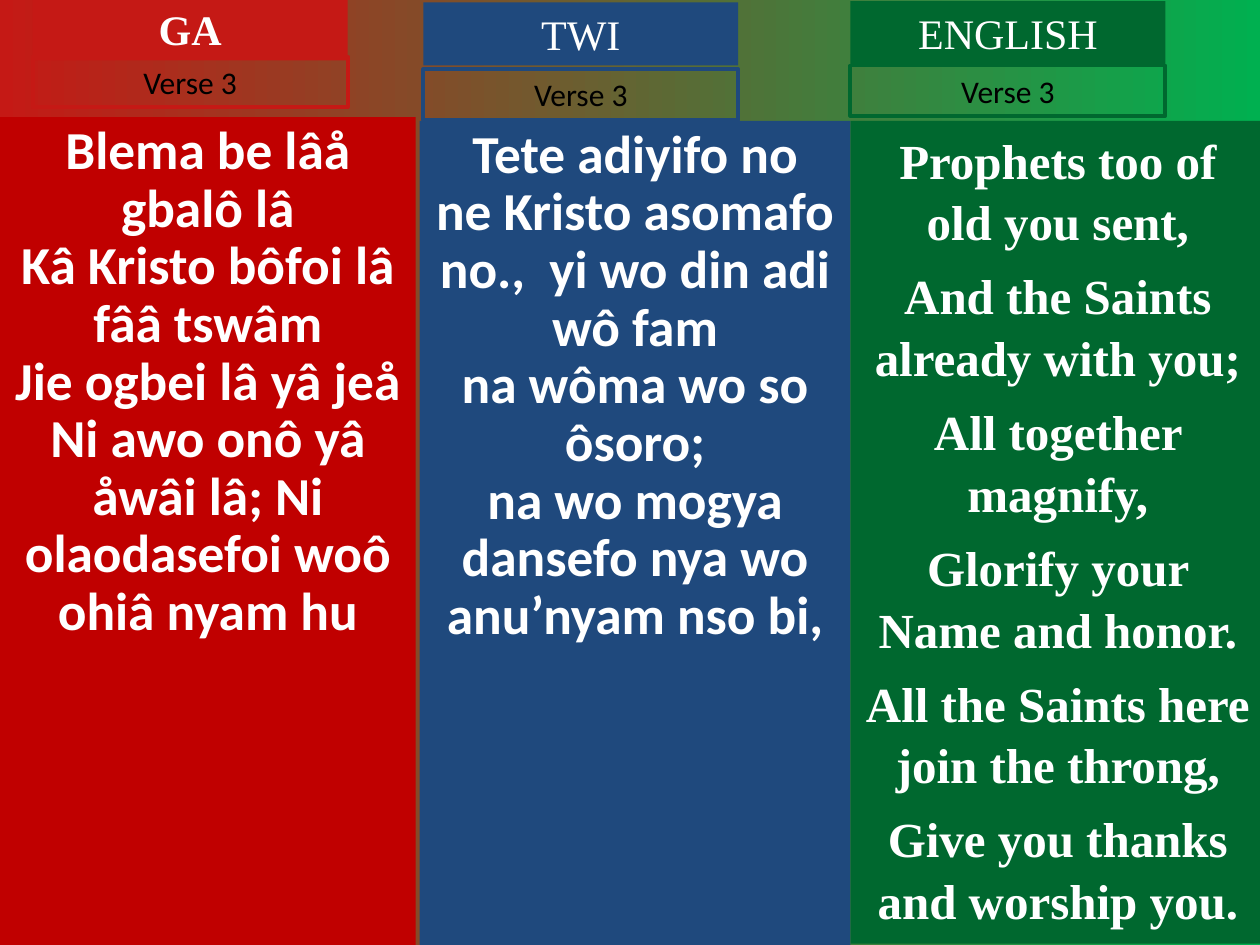
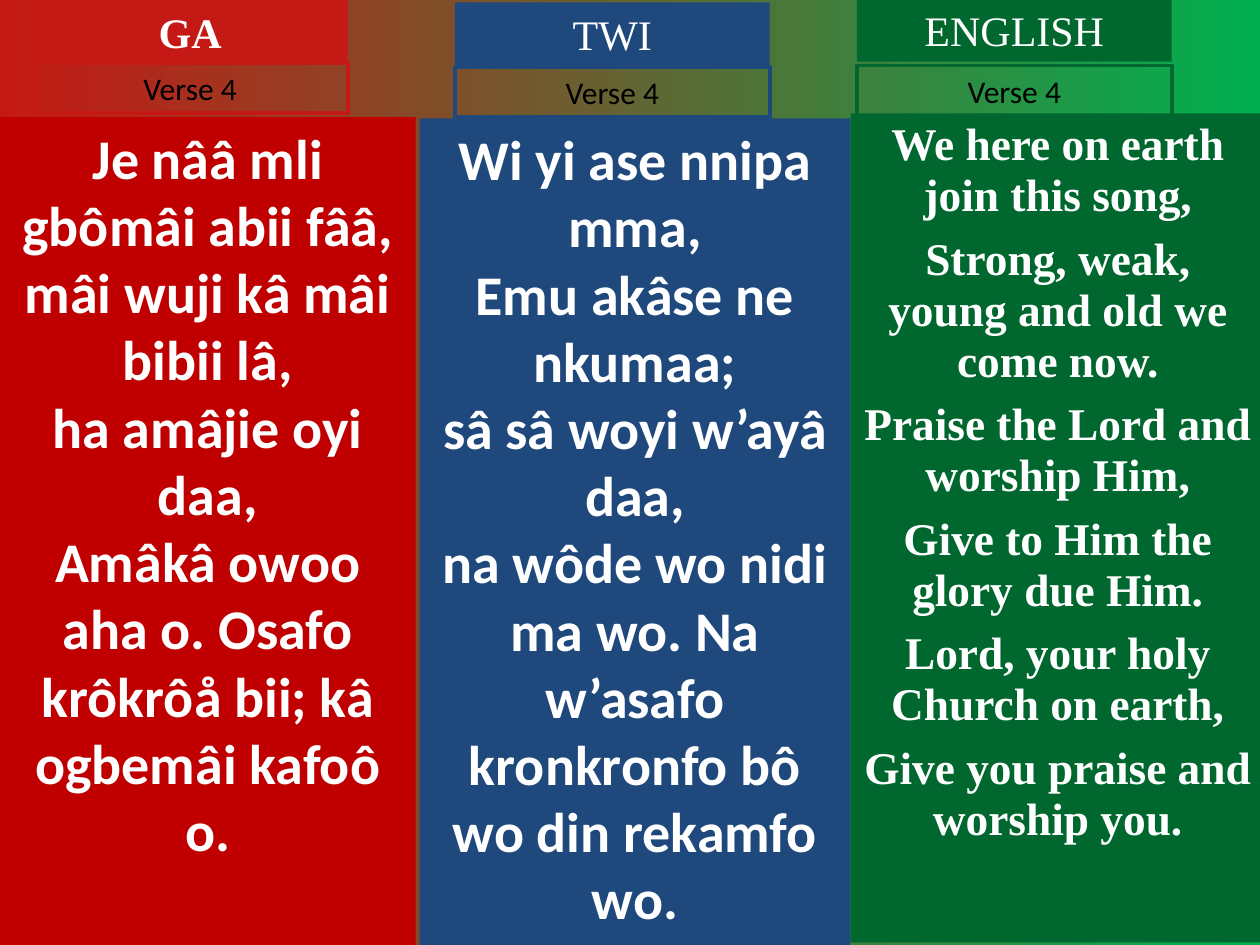
from dataclasses import dataclass
from pptx import Presentation
from pptx.dml.color import RGBColor
from pptx.enum.shapes import MSO_SHAPE as Preset
from pptx.enum.text import MSO_ANCHOR as Anchor, MSO_AUTO_SIZE as AutoSize, PP_ALIGN as Align
from pptx.util import Inches, Pt

WHITE = "FFFFFF"
BLACK = "000000"
RED = "C51915"
DEEP_RED = "C00000"
BLUE = "1F497D"
GREEN = "00682F"
BRIGHT_GREEN = "00B050"
SANS = "Calibri"
SERIF = "Times New Roman"
HEADER_WIDTH, TITLE_HEIGHT, VERSE_HEIGHT = 2.5, 0.5, 0.4


@dataclass
class Language:
    title: str
    accent: str
    panel_color: str
    panel_left: float
    panel_width: float
    font: str
    title_bold: bool = False
    gap: float = 0


@dataclass
class Lyrics:
    lines: list
    size: float
    spacing: float
    panel_top: float
    panel_height: float
    header_left: float
    title_top: float
    verse_top: float


LANGUAGES = [
    Language("GA", RED, DEEP_RED, 0, 3.3, SANS, title_bold=True),
    Language("TWI", BLUE, BLUE, 3.33, 3.42, SANS),
    Language("ENGLISH", GREEN, GREEN, 6.75, 3.29, SERIF, gap=7),
]

VERSES = {
    "Verse 3": [
        Lyrics(["Blema be lâå gbalô lâ",
                "Kâ Kristo bôfoi lâ fââ tswâm",
                "Jie ogbei lâ yâ jeå",
                "Ni awo onô yâ åwâi lâ; Ni olaodasefoi woô ohiâ nyam hu"],
               30.5, 0.9, 0.93, 6.57, 0.26, -0.02, 0.45),
        Lyrics(["Tete adiyifo no",
                "ne Kristo asomafo no.,  yi wo din adi wô fam",
                "na wôma wo so ôsoro;",
                "na wo mogya dansefo nya wo anu’nyam nso bi,"],
               30.5, 0.9, 0.96, 6.54, 3.36, 0.02, 0.55),
        Lyrics(["Prophets too of old you sent,",
                "And the Saints already with you;",
                "All together magnify,",
                "Glorify your Name and honor.",
                "All the Saints here join the throng,",
                "Give you thanks and worship you."],
               28, 1.05, 0.96, 6.53, 6.75, 0.01, 0.52),
    ],
    "Verse 4": [
        Lyrics(["Je nââ mli gbômâi abii fââ,",
                "mâi wuji kâ mâi bibii lâ,",
                "ha amâjie oyi daa,",
                "Amâkâ owoo aha o. Osafo krôkrôå bii; kâ ogbemâi kafoô o."],
               32, 1, 0.93, 6.57, 0.26, 0, 0.5),
        Lyrics(["Wi yi ase nnipa mma,",
                "Emu akâse ne nkumaa;",
                "sâ sâ woyi w’ayâ daa,",
                "na wôde wo nidi ma wo. Na w’asafo kronkronfo bô wo din rekamfo wo."],
               32, 1, 0.94, 6.56, 3.61, 0.02, 0.53),
        Lyrics(["We here on earth join this song,",
                "Strong, weak, young and old we come now.",
                "Praise the Lord and worship Him,",
                "Give to Him the glory due Him.",
                "Lord, your holy Church on earth,",
                "Give you praise and worship you."],
               25.9, 0.94, 0.9, 6.58, 6.8, -0.01, 0.52),
    ],
}


def color(value):
    return RGBColor.from_string(value)


def paint_background(page):
    fill = page.background.fill
    fill.gradient()
    fill.gradient_angle = 0
    for stop, value in zip(fill.gradient_stops, (RED, BRIGHT_GREEN)):
        stop.color.rgb = color(value)


def add_box(page, left, top, width, height, fill=None, outline=None):
    box = page.shapes.add_shape(
        Preset.RECTANGLE, Inches(left), Inches(top), Inches(width), Inches(height))
    box.shadow.inherit = False
    if fill:
        box.fill.solid()
        box.fill.fore_color.rgb = color(fill)
    else:
        box.fill.background()
    if outline:
        box.line.color.rgb = color(outline)
        box.line.width = Pt(2.25)
    else:
        box.line.fill.background()
    box.text_frame.word_wrap = True
    box.text_frame.vertical_anchor = Anchor.TOP
    return box


def write_lines(box, lines, font, size, ink=WHITE, bold=False, spacing=1, gap=0):
    frame = box.text_frame
    for index, line in enumerate(lines):
        para = frame.add_paragraph() if index else frame.paragraphs[0]
        para.alignment = Align.CENTER
        para.line_spacing = spacing
        para.space_before = Pt(gap if index else 0)
        span = para.add_run()
        span.text = line
        span.font.name = font
        span.font.size = Pt(size)
        span.font.bold = bold
        span.font.color.rgb = color(ink)


def add_panel(page, language, lyrics):
    box = add_box(page, language.panel_left, lyrics.panel_top,
                  language.panel_width, lyrics.panel_height, fill=language.panel_color)
    write_lines(box, lyrics.lines, language.font, lyrics.size, bold=True,
                spacing=lyrics.spacing, gap=language.gap)


def add_header(page, language, lyrics, verse):
    title = add_box(page, lyrics.header_left, lyrics.title_top,
                    HEADER_WIDTH, TITLE_HEIGHT, fill=language.accent)
    write_lines(title, [language.title], SERIF, 24, bold=language.title_bold)
    label = add_box(page, lyrics.header_left, lyrics.verse_top,
                    HEADER_WIDTH, VERSE_HEIGHT, outline=language.accent)
    write_lines(label, [verse], SANS, 18, ink=BLACK)
    for box in (title, label):
        box.text_frame.auto_size = AutoSize.SHAPE_TO_FIT_TEXT


def main():
    deck = Presentation()
    deck.slide_width, deck.slide_height = Inches(10), Inches(7.5)
    for verse, columns in VERSES.items():
        page = deck.slides.add_slide(deck.slide_layouts[6])
        paint_background(page)
        for language, lyrics in zip(LANGUAGES, columns):
            add_panel(page, language, lyrics)
            add_header(page, language, lyrics, verse)
    deck.save("out.pptx")


if __name__ == "__main__":
    main()
